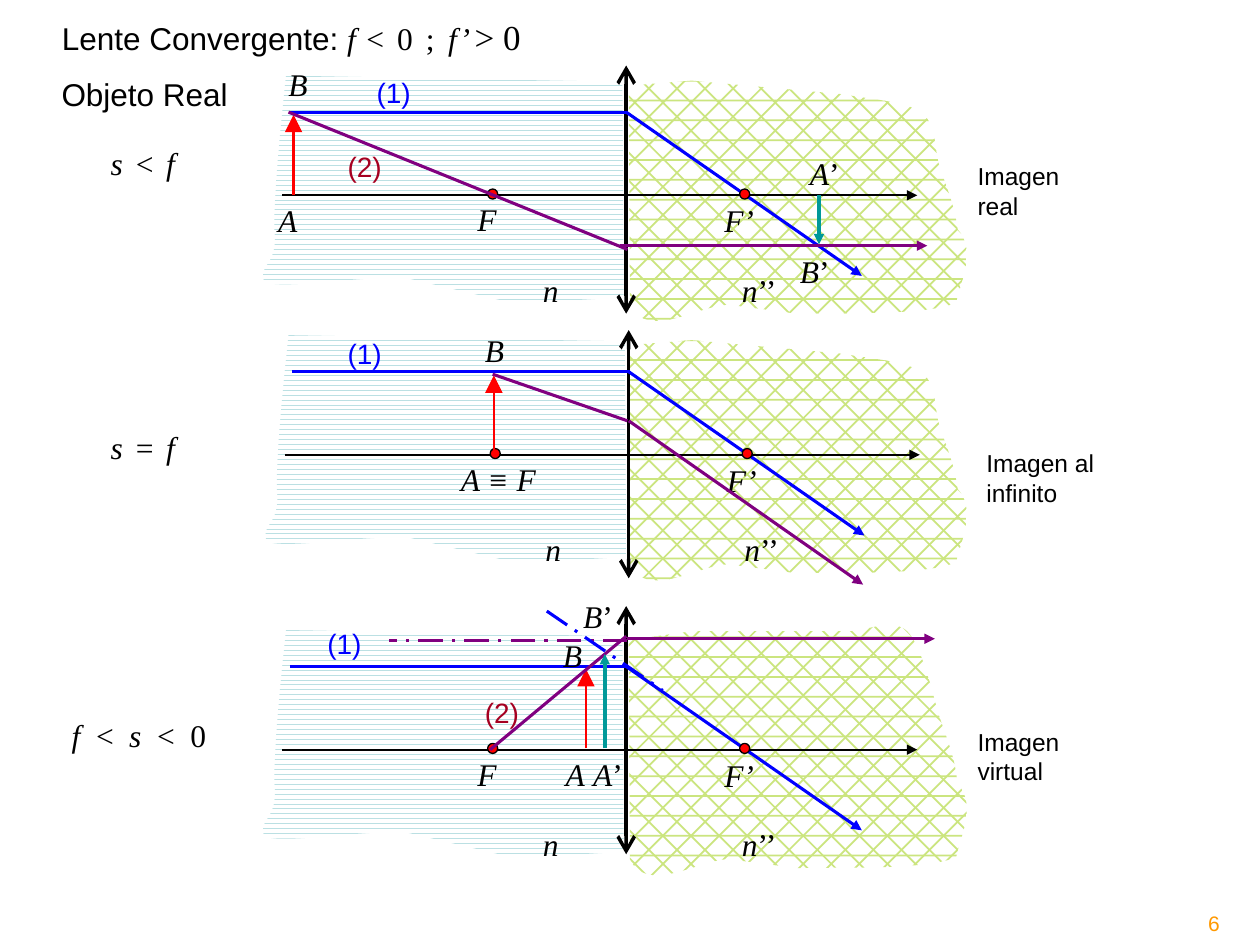
from dataclasses import dataclass, replace

from lxml import etree
from pptx import Presentation
from pptx.dml.color import RGBColor
from pptx.enum.dml import MSO_LINE, MSO_PATTERN
from pptx.enum.shapes import MSO_CONNECTOR, MSO_SHAPE
from pptx.enum.text import MSO_ANCHOR, MSO_AUTO_SIZE, PP_ALIGN
from pptx.oxml.ns import qn
from pptx.util import Inches, Pt

STRAIGHT, ELLIPSE = MSO_CONNECTOR.STRAIGHT, MSO_SHAPE.OVAL
DIVOT, WAVE = MSO_PATTERN.DIVOT, MSO_PATTERN.WAVE
DASH_DOT = MSO_LINE.LONG_DASH_DOT
TOP, LEFT = MSO_ANCHOR.TOP, PP_ALIGN.LEFT
GROW = MSO_AUTO_SIZE.SHAPE_TO_FIT_TEXT
TITLE_ONLY = 5


@dataclass(frozen=True)
class Style:
    size: int = 18
    font: str = "Times New Roman"
    color: str = "000000"
    italic: bool = False
    spacing: float = 0


@dataclass(frozen=True)
class Stroke:
    color: str
    width: float
    head: str = ""
    tail: str = ""
    arrow_size: str = "med"
    dashed: bool = False


@dataclass(frozen=True)
class Medium:
    color: str
    pattern: MSO_PATTERN
    opacity: int = 100


@dataclass(frozen=True)
class Theme:
    white: str = "FFFFFF"
    object_space: Medium = Medium("BBE0E3", WAVE)
    image_space: Medium = Medium("99CC00", DIVOT, 50)
    point: str = "FF0000"
    upright: Style = Style()
    symbol: Style = Style(italic=True)
    large: Style = Style(20)
    heading: Style = Style(font="Arial")
    caption: Style = Style(14, "Arial")
    ray_one: Style = Style(16, "Arial", "0000FF")
    ray_two: Style = Style(16, "Arial", "A50021")
    number: Style = Style(12, "Arial", "FF9900")
    outline: Stroke = Stroke("000000", 0.75)
    axis: Stroke = Stroke("000000", 1.25, tail="triangle")
    lens: Stroke = Stroke("000000", 2, "arrow", "arrow", "lg")
    object: Stroke = Stroke("FF0000", 1.5, tail="triangle", arrow_size="lg")
    image: Stroke = Stroke("009999", 2, tail="triangle")
    blue: Stroke = Stroke("0000FF", 1.75)
    purple: Stroke = Stroke("800080", 1.75)


THEME = Theme()
BLUE_OUT = replace(THEME.blue, tail="triangle")
PURPLE_OUT = replace(THEME.purple, tail="triangle")
SPACED = replace(THEME.symbol, spacing=0.9)
WIDE = replace(THEME.symbol, spacing=1.7)


@dataclass(frozen=True)
class Segment:
    stroke: Stroke
    start: tuple[float, float]
    end: tuple[float, float]


@dataclass(frozen=True)
class Label:
    left: float
    top: float
    width: float
    spans: tuple[tuple[str, Style], ...]


@dataclass(frozen=True)
class Panel:
    dx: float
    dy: float
    lens_top: float
    image_outline: tuple
    focus: Label
    segments: tuple[Segment, ...]


def symbol(left: float, top: float, letter: str, prime: str = "") -> Label:
    spans = ((letter, THEME.symbol),) + (((prime, THEME.upright),) if prime else ())
    return Label(left, top, 0.44 if prime else 0.36, spans)


def plain(left: float, top: float, width: float, text: str, style: Style) -> Label:
    return Label(left, top, width, ((text, style),))


# Outlines: two numbers are a corner, six are a Bézier curve
OBJECT_OUTLINE = ((2.27, 0.6), (4.94, 0.65), (4.95, 2.36), (4.09, 2.41), (3.24, 2.21),
                  (2.91, 2.18, 2.28, 2.3, 2.1, 2.24), (2.04, 2.1, 2.2, 2.12, 2.18, 1.85),
                  (2.16, 1.57, 2.27, 0.6, 2.27, 0.6))
IMAGE_BOTTOM = ((4.99, 0.68), (5, 2.42), (5.14, 2.71, 5.57, 2.41, 5.79, 2.42), (6.33, 2.49),
                (6.63, 2.48, 7.38, 2.51, 7.59, 2.4), (7.61, 2.27, 7.76, 1.99, 7.6, 1.82))
IMAGE_OUTLINE = ((6.71, 0.75), (5.49, 0.64), *IMAGE_BOTTOM,
                 (7.58, 1.64, 7.51, 1.48, 7.46, 1.33), (7.41, 1.18, 7.44, 0.99, 7.31, 0.89),
                 (7.18, 0.8, 6.83, 0.78, 6.71, 0.75))
VIRTUAL_OUTLINE = ((6.76, 0.61), (5.49, 0.61), *IMAGE_BOTTOM,
                   (7.58, 1.62, 7.53, 1.5, 7.46, 1.3), (7.4, 1.11, 7.32, 0.73, 7.2, 0.61),
                   (7.09, 0.5, 6.85, 0.61, 6.76, 0.61))

PANELS = (
    Panel(0, 0, 0.52, IMAGE_OUTLINE, plain(3.69, 1.54, 0.55, "F", THEME.symbol), (
        Segment(THEME.object, (2.33, 1.55), (2.33, 0.91)),
        Segment(THEME.purple, (2.29, 0.89), (4.98, 1.98)),
        Segment(PURPLE_OUT, (4.92, 1.95), (7.36, 1.95)),
        Segment(THEME.image, (6.5, 1.55), (6.5, 1.94)))),
    Panel(0.02, 2.06, 2.62, IMAGE_OUTLINE, plain(3.56, 3.6, 0.82, "A ≡ F", THEME.symbol), (
        Segment(THEME.object, (3.92, 3.61), (3.92, 2.98)),
        Segment(THEME.purple, (3.91, 2.97), (4.98, 3.34)),
        Segment(PURPLE_OUT, (4.99, 3.34), (6.85, 4.64)))),
    Panel(0, 4.4, 4.81, VIRTUAL_OUTLINE, plain(3.69, 5.94, 0.55, "F", THEME.symbol), (
        Segment(THEME.object, (4.65, 5.94), (4.65, 5.31)),
        Segment(THEME.purple, (3.89, 5.95), (4.97, 5.05)),
        Segment(PURPLE_OUT, (4.98, 5.07), (7.42, 5.07)),
        Segment(THEME.image, (4.8, 5.94), (4.8, 5.19)),
        Segment(replace(THEME.purple, dashed=True), (4.98, 5.08), (3.09, 5.08)),
        Segment(replace(THEME.blue, dashed=True), (4.34, 4.85), (5.26, 5.48)))),
)

TITLE = Label(0.39, 0.07, 3.9, (
    ("Lente Convergente: ", THEME.heading), ("f", THEME.symbol),
    (" < 0 ; ", replace(THEME.upright, spacing=1.5)), ("f’ ", THEME.symbol), ("> 0", THEME.large)))
LABELS = (
    plain(7.73, 3.51, 1.67, "Imagen al\ninfinito", THEME.caption),
    plain(9.49, 7.18, 0.29, "6", THEME.number),
    plain(7.66, 1.23, 1.22, "Imagen\nreal", THEME.caption),
    plain(7.66, 5.72, 1.42, "Imagen\nvirtual", THEME.caption),
    plain(0.39, 0.55, 1.6, "Objeto Real", THEME.heading),
    plain(0.78, 1.09, 0.79, "s < f", SPACED),
    plain(0.78, 3.35, 0.79, "s = f", SPACED),
    Label(0.47, 5.63, 1.34, (("f < s < ", WIDE), ("0", THEME.upright))),
    symbol(4.39, 5.94, "A"), symbol(2.11, 1.55, "A"),
    symbol(4.37, 5, "B"), symbol(3.75, 2.58, "B"), symbol(2.19, 0.47, "B"),
    symbol(4.53, 4.69, "B", "’"), symbol(6.25, 1.95, "B", "’"),
    symbol(4.61, 5.94, "A", "’"), symbol(6.33, 1.17, "A", "’"),
    *(plain(x, y, 0.48, "(1)", THEME.ray_one) for x, y in ((2.66, 2.62), (2.89, 0.55), (2.5, 4.92))),
    *(plain(x, y, 0.48, "(2)", THEME.ray_two) for x, y in ((3.75, 5.47), (2.66, 1.14))),
)


def rgb(color: str) -> RGBColor:
    return RGBColor.from_string(color)


def write_label(box, label: Label) -> None:
    height = label.spans[-1][1].size / 45
    box.left, box.top = Inches(label.left), Inches(label.top)
    box.width, box.height = Inches(label.width), Inches(round(height, 2))
    frame = box.text_frame
    frame.word_wrap, frame.auto_size, frame.vertical_anchor = False, GROW, TOP
    para = frame.paragraphs[0]
    para.alignment = LEFT
    for text, style in label.spans:
        for index, line in enumerate(text.split("\n")):
            if index:
                para.add_line_break()
            span = para.add_run()
            span.text = line
            font = span.font
            font.name, font.size, font.italic = style.font, Pt(style.size), style.italic
            font.color.rgb = rgb(style.color)
            if style.spacing:
                span._r.get_or_add_rPr().set("spc", str(round(style.spacing * 100)))


def add_label(shapes, label: Label) -> None:
    write_label(shapes.add_textbox(0, 0, 0, 0), label)


def add_segment(shapes, segment: Segment, dx: float = 0, dy: float = 0) -> None:
    (x1, y1), (x2, y2) = segment.start, segment.end
    connector = shapes.add_connector(STRAIGHT, Inches(x1 + dx), Inches(y1 + dy),
                                     Inches(x2 + dx), Inches(y2 + dy))
    stroke, line = segment.stroke, connector.line
    line.color.rgb, line.width = rgb(stroke.color), Pt(stroke.width)
    if stroke.dashed:
        line.dash_style = DASH_DOT
    for tag, kind in (("a:headEnd", stroke.head), ("a:tailEnd", stroke.tail)):
        if kind:
            etree.SubElement(line._get_or_add_ln(), qn(tag), type=kind,
                             w=stroke.arrow_size, len=stroke.arrow_size)
    etree.SubElement(connector._element.spPr, qn("a:effectLst"))


def add_medium(shapes, outline: tuple, dx: float, dy: float, medium: Medium) -> None:
    points = [(Inches(step[i] + dx), Inches(step[i + 1] + dy))
              for step in outline for i in range(0, len(step), 2)]
    builder = shapes.build_freeform(*points[0])
    builder.add_line_segments(points[1:], close=True)
    area = builder.convert_to_shape()
    # Join each run of three points into one curve
    corners = area._element.spPr.iter(qn("a:lnTo"))
    corners = iter(list(corners))
    for step in outline[1:]:
        corner = next(corners)
        if len(step) == 6:
            corner.tag = qn("a:cubicBezTo")
            for _ in range(2):
                extra = next(corners)
                corner.append(extra[0])
                extra.getparent().remove(extra)
    area.shadow.inherit = False
    fill = area.fill
    fill.patterned()
    fill.pattern = medium.pattern
    fill.fore_color.rgb, fill.back_color.rgb = rgb(medium.color), rgb(THEME.white)
    if medium.opacity < 100:
        for color in area._element.spPr.find(qn("a:pattFill")).iter(qn("a:srgbClr")):
            etree.SubElement(color, qn("a:alpha"), val=str(medium.opacity * 1000))
    area.line.fill.background()


def add_point(shapes, left: float, top: float) -> None:
    dot = shapes.add_shape(ELLIPSE, Inches(left), Inches(top), Inches(0.08), Inches(0.08))
    dot.shadow.inherit = False
    dot.fill.solid()
    dot.fill.fore_color.rgb = rgb(THEME.point)
    dot.line.color.rgb, dot.line.width = rgb(THEME.outline.color), Pt(THEME.outline.width)


def add_panel(page, panel: Panel) -> None:
    shapes, dx, dy = page.shapes.add_group_shape().shapes, panel.dx, panel.dy
    # Media on both sides of the lens
    add_medium(shapes, panel.image_outline, 0, dy, THEME.image_space)
    add_medium(shapes, OBJECT_OUTLINE, dx, dy, THEME.object_space)
    # Axis, lens and the ray through the image focus
    add_segment(shapes, Segment(THEME.axis, (2.24, 1.55), (7.28, 1.55)), dx, dy)
    lens = Segment(THEME.lens, (4.97, panel.lens_top), (4.97, panel.lens_top + 1.97))
    add_segment(shapes, lens, dx)
    add_segment(shapes, Segment(THEME.blue, (2.3, 0.89), (4.98, 0.89)), dx, dy)
    add_segment(shapes, Segment(BLUE_OUT, (4.97, 0.89), (6.84, 2.19)), dx, dy)
    # Foci and indices
    for left in (3.87, 5.87):
        add_point(shapes, left + dx, 1.5 + dy)
    add_label(shapes, panel.focus)
    add_label(shapes, plain(5.65 + dx, 1.55 + dy, 0.55, "F’", THEME.symbol))
    add_label(shapes, plain(4.21 + dx, 2.1 + dy, 0.33, "n", THEME.symbol))
    add_label(shapes, Label(5.79 + dx, 2.1 + dy, 0.49, (("n", THEME.symbol), ("’’", THEME.upright))))
    # Object, image and remaining rays
    for segment in panel.segments:
        add_segment(shapes, segment)


def main() -> None:
    deck = Presentation()
    deck.slide_width, deck.slide_height = Inches(10), Inches(7.5)
    page = deck.slides.add_slide(deck.slide_layouts[TITLE_ONLY])
    write_label(page.shapes.title, TITLE)
    for panel in PANELS:
        add_panel(page, panel)
    for label in LABELS:
        add_label(page.shapes, label)
    deck.save("out.pptx")


if __name__ == "__main__":
    main()
